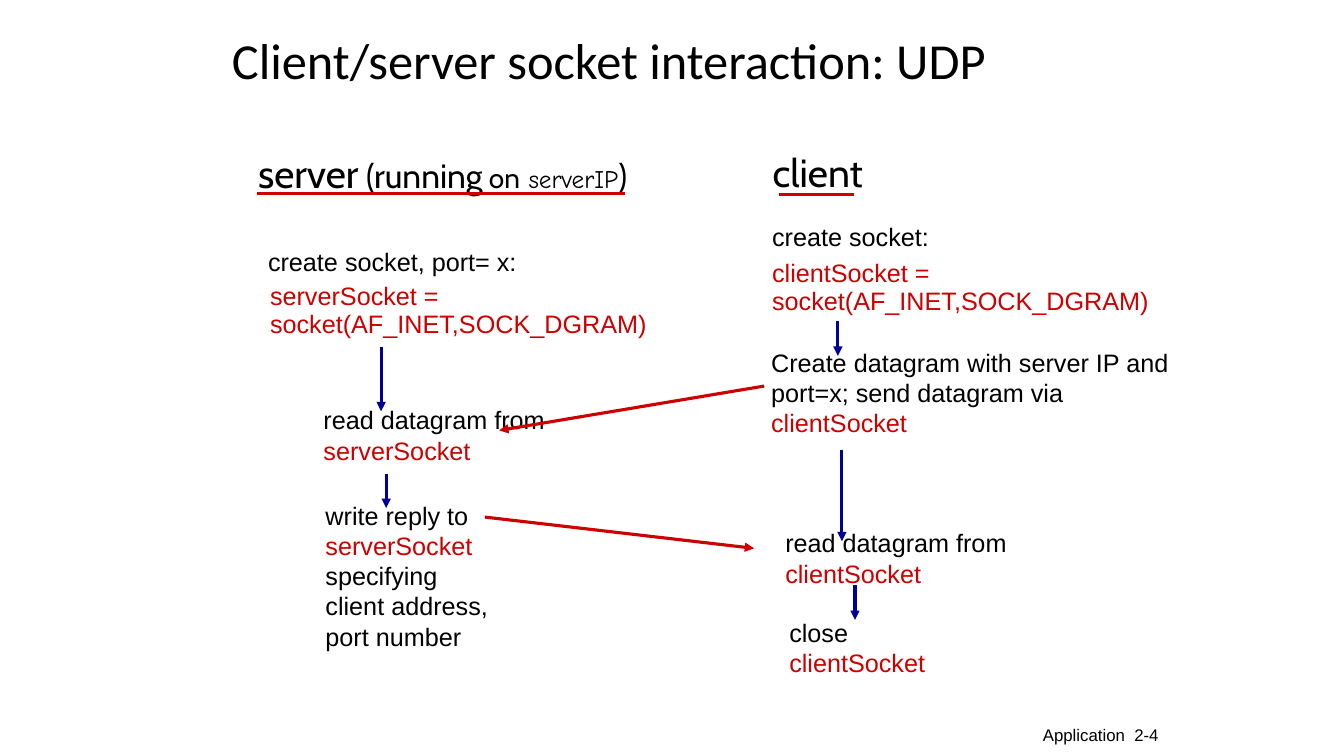
import pptx
import pptx.util
import pptx.dml.color
import pptx.enum.shapes
import pptx.enum.text
import pptx.oxml.ns
import lxml.etree

Inches = pptx.util.Inches
ANCHOR = pptx.enum.text.MSO_ANCHOR
ALIGN = pptx.enum.text.PP_ALIGN
BLACK, RED, BLUE = "000000", "CC0000", "000099"


def format_run(run, size, color, font="Arial"):
    run.font.name = font
    run.font.size = pptx.util.Pt(size)
    run.font.color.rgb = pptx.dml.color.RGBColor.from_string(color)


def add_box(left, top, width, height):
    box = slide.shapes.add_textbox(Inches(left), Inches(top), Inches(width), Inches(height))
    box.text_frame.word_wrap = False
    box.text_frame.vertical_anchor = ANCHOR.MIDDLE
    return box


deck = pptx.Presentation()
deck.slide_width, deck.slide_height = Inches(13.33), Inches(7.5)
slide = deck.slides.add_slide(deck.slide_layouts[5])

# Title
title = slide.shapes.title
title.left, title.top = Inches(2.2), Inches(0)
title.width, title.height = Inches(8.5), Inches(1.25)
title.text_frame.text = "Client/server socket interaction: UDP"
title.text_frame.vertical_anchor = ANCHOR.MIDDLE
title_para = title.text_frame.paragraphs[0]
title_para.alignment = ALIGN.LEFT
title_para.line_spacing = 0.9
format_run(title_para.runs[0], 36, BLACK, "Calibri")

# Steps: left, top, width, height, line spacing in points, paragraphs
steps = [
    # Server
    (2.56, 2.39, 2.69, 0.4, None, ["create socket, port= x:"]),
    (2.58, 2.75, 3.97, 0.66, 20, ["serverSocket =", "socket(AF_INET,SOCK_DGRAM)"]),
    (3.11, 3.96, 2.42, 0.71, None, ["read datagram from", "serverSocket"]),
    (3.13, 4.9, 1.84, 1.62, None,
     ["write reply to", "serverSocket", "specifying \vclient address,", "port number"]),
    # Client
    (7.56, 2.15, 1.77, 0.4, None, ["create socket:"]),
    (7.56, 2.52, 3.97, 0.66, 20, ["clientSocket =", "socket(AF_INET,SOCK_DGRAM)"]),
    (7.55, 3.39, 4.18, 1.01, None,
     ["Create datagram with server IP and", "port=x; send datagram via\vclientSocket"]),
    (7.69, 5.18, 2.42, 0.71, None, ["read datagram from", "clientSocket"]),
    (7.73, 6.07, 1.56, 0.71, None, ["close", "clientSocket"]),
]
for left, top, width, height, spacing, lines in steps:
    frame = add_box(left, top, width, height).text_frame
    for index, line in enumerate(lines):
        para = frame.add_paragraph() if index else frame.paragraphs[0]
        para.text = line
        if spacing:
            para.line_spacing = pptx.util.Pt(spacing)
        for run in para.runs:
            is_code = "Socket" in run.text or "socket(" in run.text
            format_run(run, 18, RED if is_code else BLACK)

# Column headings: text, size and font of each span
headings = [
    (2.27, 1.43, 4.24, [("server", 28, "Cabin"), (" (running", 24, "Cabin"),
                        (" on", 20, "Cabin"), (" serverIP", 18, "Comic Neue"),
                        (")", 24, "Cabin")]),
    (7.55, 1.42, 1.12, [("client", 28, "Cabin")]),
]
for left, top, width, spans in headings:
    para = add_box(left, top, width, 0.57).text_frame.paragraphs[0]
    para.alignment = ALIGN.CENTER
    for text, size, font in spans:
        span = para.add_run()
        span.text = text
        format_run(span, size, BLACK, font)

# Lines: start x, y, end x, y, color, width, arrowhead
lines = [
    # Heading underlines
    (2.55, 1.92, 6.2, 1.92, RED, 1.5, False),
    (7.73, 1.93, 8.47, 1.93, RED, 1.5, False),
    # Order of steps
    (3.78, 3.44, 3.78, 4.08, BLUE, 2.25, True),
    (3.83, 4.7, 3.83, 5.04, BLUE, 2.25, True),
    (8.31, 3.18, 8.31, 3.53, BLUE, 2.25, True),
    (8.35, 4.46, 8.35, 5.37, BLUE, 2.25, True),
    (8.48, 5.8, 8.48, 6.15, BLUE, 2.25, True),
    # Datagrams between client and server
    (7.58, 3.83, 4.95, 4.27, RED, 2.25, True),
    (4.81, 5.13, 7.48, 5.44, RED, 2.25, True),
]
for x1, y1, x2, y2, color, width, has_head in lines:
    connector = slide.shapes.add_connector(
        pptx.enum.shapes.MSO_CONNECTOR.STRAIGHT,
        Inches(x1), Inches(y1), Inches(x2), Inches(y2))
    connector.line.color.rgb = pptx.dml.color.RGBColor.from_string(color)
    connector.line.width = pptx.util.Pt(width)
    if has_head:
        lxml.etree.SubElement(connector.line._get_or_add_ln(),
                              pptx.oxml.ns.qn("a:tailEnd"), type="triangle")
    lxml.etree.SubElement(connector._element.spPr, pptx.oxml.ns.qn("a:effectLst"))

# Footer
footer = add_box(10, 7.14, 1.59, 0.31)
footer.text_frame.word_wrap = True
footer.text_frame.vertical_anchor = ANCHOR.TOP
footer.text_frame.text = "Application  2-4"
footer_para = footer.text_frame.paragraphs[0]
footer_para.alignment = ALIGN.RIGHT
format_run(footer_para.runs[0], 12, BLACK)

deck.save("out.pptx")
